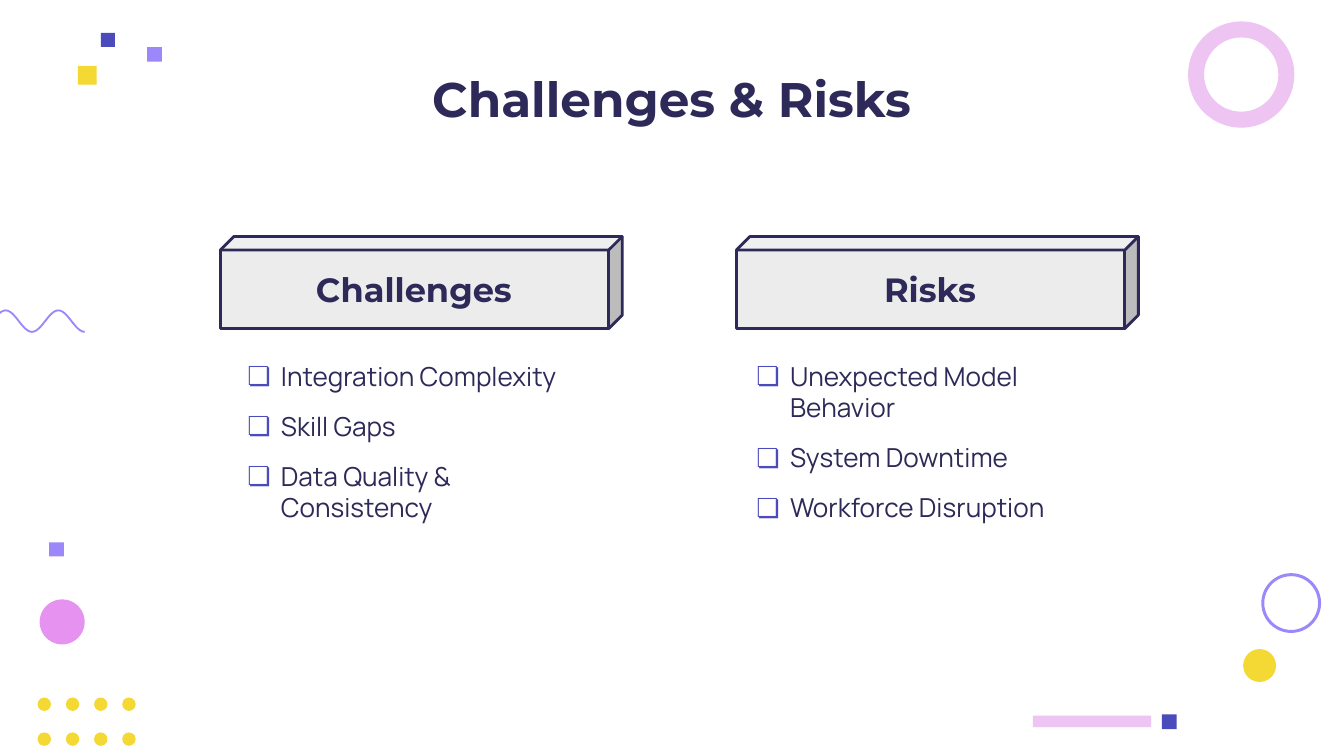
from math import cos, pi
from lxml import etree
from pptx import Presentation
from pptx.dml.color import RGBColor
from pptx.enum.shapes import MSO_SHAPE
from pptx.enum.text import MSO_ANCHOR, PP_ALIGN
from pptx.oxml.ns import qn
from pptx.util import Inches, Pt

SQUARE, CIRCLE = MSO_SHAPE.RECTANGLE, MSO_SHAPE.OVAL
RING, CUBE = MSO_SHAPE.DONUT, MSO_SHAPE.CUBE
MIDDLE, TOP = MSO_ANCHOR.MIDDLE, MSO_ANCHOR.TOP
CENTER, LEFT = PP_ALIGN.CENTER, PP_ALIGN.LEFT

NAVY, INDIGO, VIOLET = "2D2958", "4B4BBB", "9C88FA"
YELLOW, PINK, ORCHID, GREY = "F4D834", "EDC4F2", "E592F1", "ECECEC"

deck = Presentation()
deck.slide_width = Inches(10)
deck.slide_height = deck.slide_width * 9 // 16
slide = deck.slides.add_slide(deck.slide_layouts[6])
UNIT = deck.slide_width // 100


def add_solid(kind, color, *box):
    solid = slide.shapes.add_shape(kind, *[round(UNIT * n) for n in box])
    solid.shadow.inherit = False
    solid.fill.solid()
    solid.fill.fore_color.rgb = RGBColor.from_string(color)
    solid.line.fill.background()
    return solid


def add_lines(lines, box, font, size, anchor=MIDDLE, align=CENTER, bold=True, inset=0.1, bullet=None):
    frame = slide.shapes.add_textbox(*[round(UNIT * n) for n in box]).text_frame
    frame.word_wrap = True
    frame.vertical_anchor = anchor
    frame.margin_left = Inches(inset)
    frame.margin_right = frame.margin_top = frame.margin_bottom = Inches(0.1)
    for number, line in enumerate(lines):
        paragraph = frame.add_paragraph() if number else frame.paragraphs[0]
        paragraph.alignment = align
        if bullet:
            props = paragraph._p.get_or_add_pPr()
            props.set("marL", str(Inches(0.3)))
            props.set("indent", str(-Inches(0.25)))
            tint = etree.SubElement(props, qn("a:buClr"))
            etree.SubElement(tint, qn("a:srgbClr"), val=INDIGO)
            etree.SubElement(props, qn("a:buSzPts"), val=str(size * 100))
            etree.SubElement(props, qn("a:buFont"), typeface=font)
            etree.SubElement(props, qn("a:buChar"), char=bullet)
        if number:
            paragraph.space_before = Pt(10)
        run = paragraph.add_run()
        run.text = line
        run.font.name, run.font.size, run.font.bold = font, Pt(size), bold
        run.font.color.rgb = RGBColor.from_string(NAVY)


for column in range(4):
    for row in range(2):
        add_solid(CIRCLE, YELLOW, 2.8 + 2.1 * column, 51.9 + 2.6 * row, 1, 1)

crests = [
    (round(UNIT * (-3.5 + 9.8 * step / 60)), round(UNIT * (23.9 - 0.8 * cos(5 * pi * step / 60))))
    for step in range(61)
]
outline = slide.shapes.build_freeform(*crests[0])
outline.add_line_segments(crests[1:], close=False)
wave = outline.convert_to_shape()
wave.shadow.inherit = False
wave.fill.background()
wave.line.color.rgb = RGBColor.from_string(VIOLET)
wave.line.width = Pt(1)

for color, left, top, size, thickness in [
    (PINK, 88.4, 1.6, 7.9, 0.15),
    (VIOLET, 93.85, 42.65, 4.45, 0.05),
]:
    ring = add_solid(RING, color, left, top, size, size)
    ring.adjustments[0] = thickness

for kind, color, left, top, width, height in [
    (CIRCLE, ORCHID, 2.95, 44.6, 3.35, 3.35),
    (SQUARE, PINK, 76.85, 53.25, 8.8, 0.85),
    (SQUARE, INDIGO, 86.45, 53.15, 1.1, 1.1),
    (SQUARE, YELLOW, 5.8, 4.9, 1.4, 1.4),
    (SQUARE, VIOLET, 10.95, 3.5, 1.1, 1.1),
    (SQUARE, INDIGO, 7.5, 2.45, 1.05, 1.05),
    (SQUARE, VIOLET, 3.65, 40.35, 1.1, 1.05),
    (CIRCLE, YELLOW, 92.5, 48.3, 2.45, 2.45),
]:
    add_solid(kind, color, left, top, width, height)

add_lines(["Challenges & Risks"], (8.3, 4.15, 83.4, 6.3), "Montserrat", 26)

for left, inset, heading, points in [
    (16.4, 0.15, "Challenges", ["Integration Complexity", "Skill Gaps", "Data Quality & Consistency"]),
    (54.8, 0.1, "Risks", ["Unexpected Model Behavior", "System Downtime", "Workforce Disruption"]),
]:
    block = add_solid(CUBE, GREY, left, 17.6, 29.9, 6.85)
    block.adjustments[0] = 0.147
    block.line.color.rgb = RGBColor.from_string(NAVY)
    block.line.width = Pt(1.5)
    add_lines([heading], (left, 18.6, 28.8, 5.8), "Montserrat", 18)
    add_lines(points, (left, 25.8, 28.8, 19), "Manrope", 14, TOP, LEFT, False, inset, "❏")

deck.save("out.pptx")
